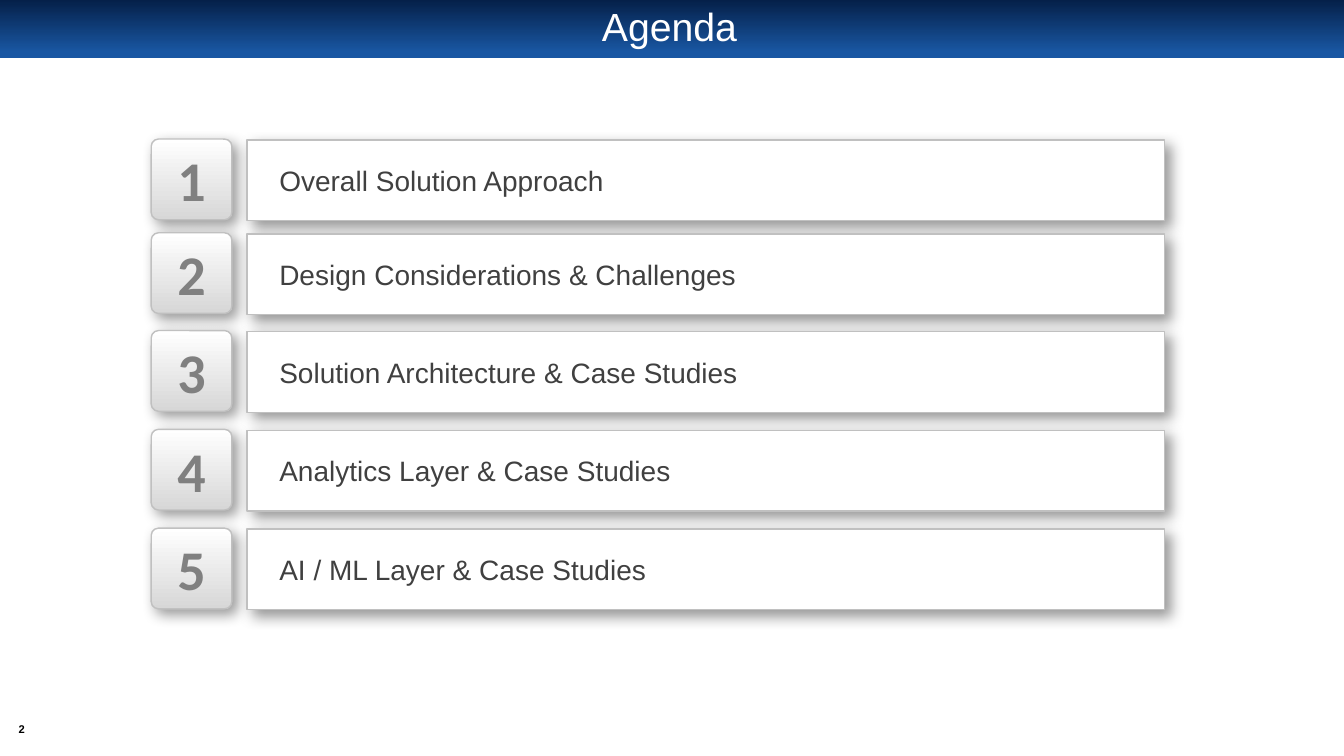
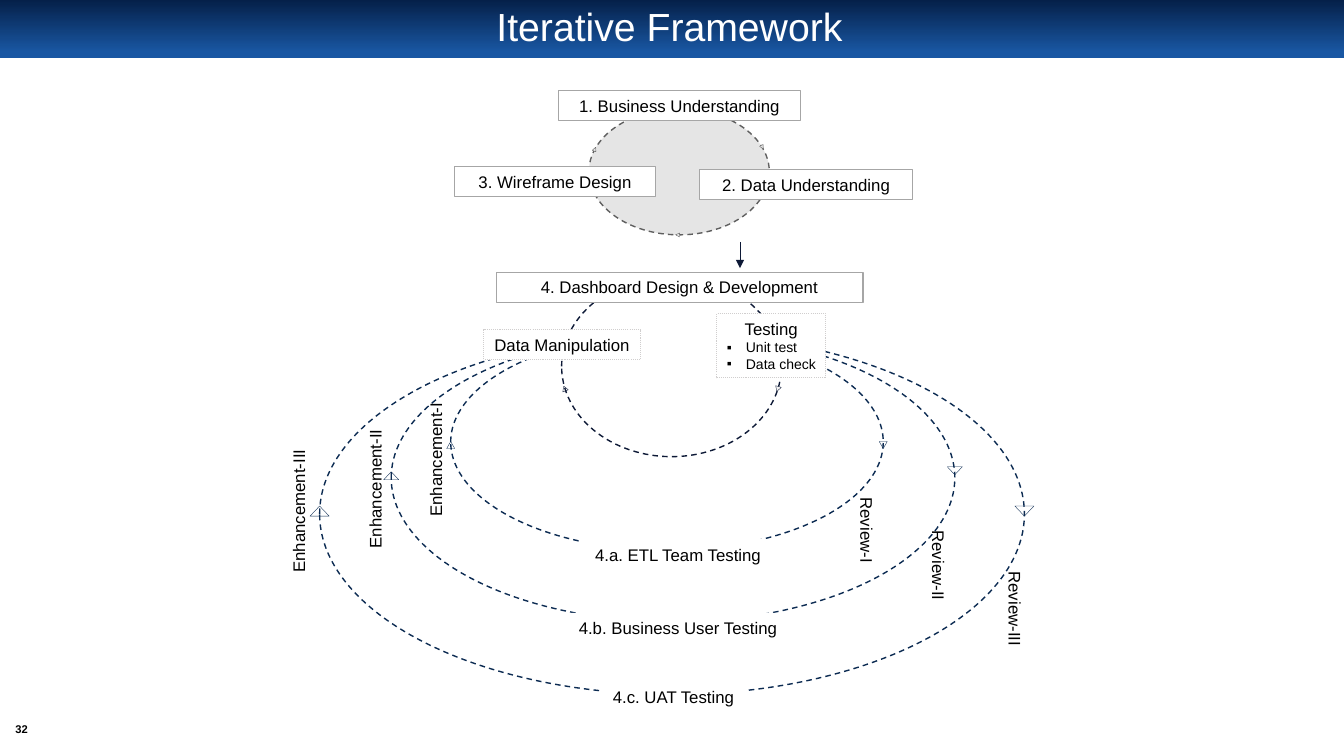
"""Build the agenda slide and the iterative framework slide."""
from dataclasses import dataclass

from lxml.etree import SubElement
from pptx import Presentation
from pptx.dml.color import RGBColor
from pptx.enum.dml import MSO_LINE
from pptx.enum.shapes import MSO_CONNECTOR, MSO_SHAPE
from pptx.enum.text import MSO_ANCHOR, MSO_AUTO_SIZE, PP_ALIGN
from pptx.oxml import parse_xml
from pptx.oxml.ns import nsdecls, qn
from pptx.util import Inches, Pt


@dataclass(frozen=True)
class Theme:
    """Colours, fonts and type sizes of the slides."""
    font: str = "Arial"
    number_font: str = "Calibri"
    white: str = "FFFFFF"
    black: str = "000000"
    band_top: str = "052049"
    band_bottom: str = "1957A3"
    button_bottom: str = "D7D7D7"
    button_line: str = "C0C0C0"
    button_text: str = "808080"
    agenda_text: str = "404040"
    ring: str = "0C2B52"
    inner_ring: str = "0D1936"
    disc: str = "E5E5E5"
    disc_line: str = "5F5F5F"
    step_line: str = "A6A6A6"
    task_line: str = "D0CECE"
    testing_marker: str = "F2F2F2"
    title_size: int = 28
    number_size: int = 40
    agenda_size: int = 20
    label_size: int = 12
    bullet_size: int = 10
    page_size: int = 8


theme = Theme()


def draw(slide, kind, left, top, width, height, fill=None, line=None, weight=1, dash=None, rotation=0):
    shape = slide.shapes.add_shape(kind, Inches(left), Inches(top), Inches(width), Inches(height))
    shape.shadow.inherit = False
    shape.rotation = rotation
    if isinstance(fill, tuple):
        shape.fill.gradient()
        shape.fill.gradient_angle = 270
        for stop, (color, position) in zip(shape.fill.gradient_stops, fill):
            stop.color.rgb = RGBColor.from_string(color)
            stop.position = position
    elif fill:
        shape.fill.solid()
        shape.fill.fore_color.rgb = RGBColor.from_string(fill)
    else:
        shape.fill.background()
    if line:
        shape.line.color.rgb = RGBColor.from_string(line)
        shape.line.width = Pt(weight)
        shape.line.dash_style = dash
    else:
        shape.line.fill.background()
    return shape


def write_text(shape, text, size=theme.label_size, color=theme.black, font=theme.font, bold=False,
               align=PP_ALIGN.CENTER, margin=0, spacing=None, bullet=False):
    frame = shape.text_frame
    frame.word_wrap = True
    frame.auto_size = MSO_AUTO_SIZE.NONE
    frame.vertical_anchor = MSO_ANCHOR.MIDDLE
    frame.margin_left = frame.margin_right = Inches(margin)
    frame.margin_top = frame.margin_bottom = 0
    paragraph = frame.add_paragraph() if frame.text else frame.paragraphs[0]
    paragraph.alignment = align
    paragraph.line_spacing = spacing
    if bullet:
        properties = paragraph._p.get_or_add_pPr()
        properties.set("marL", str(Inches(0.19)))
        properties.set("indent", str(-Inches(0.19)))
        SubElement(properties, qn("a:buFont"), typeface=theme.font)
        SubElement(properties, qn("a:buChar"), char="▪")
    run = paragraph.add_run()
    run.text = text
    run.font.size = Pt(size)
    run.font.name = font
    run.font.bold = bold
    run.font.color.rgb = RGBColor.from_string(color)


presentation = Presentation()
presentation.slide_width = Inches(13.33)
presentation.slide_height = Inches(7.5)
layout = presentation.slide_layouts.get_by_name("Title Only")

slides = []
for title_text, page in (("Agenda", "2"), ("Iterative Framework", "32")):
    slide = presentation.slides.add_slide(layout)
    title = slide.shapes.title
    title.left, title.top, title.width, title.height = Inches(0.66), Inches(0.06), Inches(11.96), Inches(0.45)
    write_text(title, title_text, size=theme.title_size, color=theme.white, spacing=0.9)
    page_box = slide.shapes.add_textbox(Inches(0.09), Inches(7.14), Inches(0.25), Inches(0.19))
    write_text(page_box, page, size=theme.page_size, bold=True)
    slides.append(slide)
agenda, framework = slides

band = draw(agenda, MSO_SHAPE.RECTANGLE, 0, 0, 13.33, 0.58,
            fill=((theme.band_top, 0), (theme.band_bottom, 0.9)))
layout.shapes.element.append(band.element)

agenda_rows = (
    (1.38, "Overall Solution Approach"),
    (2.31, "Design Considerations & Challenges"),
    (3.28, "Solution Architecture & Case Studies"),
    (4.26, "Analytics Layer & Case Studies"),
    (5.24, "AI / ML Layer & Case Studies"),
)
for number, (top, topic) in enumerate(agenda_rows, start=1):
    button = draw(agenda, MSO_SHAPE.ROUNDED_RECTANGLE, 1.5, top, 0.8, 0.8,
                  fill=((theme.white, 0), (theme.button_bottom, 1)), line=theme.button_line)
    button.adjustments[0] = 0.09
    write_text(button, str(number), size=theme.number_size, color=theme.button_text,
               font=theme.number_font, bold=True)
    panel = draw(agenda, MSO_SHAPE.RECTANGLE, 2.45, top + 0.01, 9.1, 0.8,
                 fill=theme.white, line=theme.button_line)
    write_text(panel, topic, size=theme.agenda_size, color=theme.agenda_text,
               align=PP_ALIGN.LEFT, margin=0.32)
    for shape in (button, panel):
        shape.element.spPr.find(qn("a:effectLst")).append(parse_xml(
            f'<a:outerShdw {nsdecls("a")} blurRad="{Pt(10)}" dist="{Pt(5)}" dir="2700000" algn="tl" '
            f'rotWithShape="0"><a:srgbClr val="{theme.black}"><a:alpha val="40000"/></a:srgbClr></a:outerShdw>'))

review_rings = (
    (4.47, 4.29, 2.15, 0.08, 0.07, 4.38, 4.38),
    (3.88, 5.59, 2.86, 0.15, 0.08, 4.68, 4.63),
    (3.17, 6.99, 3.58, 0.19, 0.1, 5.02, 5.02),
)
for left, width, height, marker_width, marker_height, up_top, down_top in review_rings:
    draw(framework, MSO_SHAPE.OVAL, left, 3.31, width, height, line=theme.ring, dash=MSO_LINE.DASH)
    for edge, marker_top, rotation in ((left, up_top, 180), (left + width, down_top, 0)):
        draw(framework, MSO_SHAPE.FLOWCHART_MERGE, edge - marker_width / 2, marker_top,
             marker_width, marker_height, line=theme.ring, weight=0.25, rotation=rotation)

draw(framework, MSO_SHAPE.RECTANGLE, 6.24, 3.11, 1.02, 0.25, fill=theme.white)
draw(framework, MSO_SHAPE.OVAL, 5.84, 1.08, 1.79, 1.25, fill=theme.disc, line=theme.disc_line, dash=MSO_LINE.DASH)
for left, top, rotation in ((5.88, 1.46, 203.2), (7.54, 1.44, 333.4), (6.7, 2.31, 93.9)):
    draw(framework, MSO_SHAPE.FLOWCHART_MERGE, left, top, 0.04, 0.04, fill=theme.disc,
         line=theme.disc_line, weight=0.25, rotation=rotation)
draw(framework, MSO_SHAPE.OVAL, 5.57, 2.74, 2.18, 1.79, line=theme.inner_ring, dash=MSO_LINE.DASH)
for left, top, rotation, fill in ((5.57, 3.83, 159.4, None), (7.68, 3.82, 137, theme.testing_marker)):
    draw(framework, MSO_SHAPE.FLOWCHART_MERGE, left, top, 0.06, 0.05, fill=fill,
         line=theme.inner_ring, weight=0.25, rotation=rotation)

framework_boxes = (
    ("1. Business Understanding", 5.54, 0.9, 2.4, theme.step_line, None),
    ("2. Data Understanding", 6.94, 1.68, 2.11, theme.step_line, None),
    ("3. Wireframe Design", 4.51, 1.65, 1.99, theme.step_line, None),
    ("4. Dashboard Design & Development", 4.92, 2.7, 3.64, theme.step_line, None),
    ("4.a. ETL Team Testing", 5.77, 5.35, 1.91, None, None),
    ("4.b. Business User Testing", 5.62, 6.08, 2.21, None, None),
    ("4.c. UAT Testing", 5.95, 6.76, 1.46, None, None),
    ("Data Manipulation", 4.8, 3.27, 1.55, theme.task_line, MSO_LINE.ROUND_DOT),
)
for label, left, top, width, line, dash in framework_boxes:
    box = draw(framework, MSO_SHAPE.RECTANGLE, left, top, width, 0.3, fill=theme.white,
               line=line, weight=0.75, dash=dash)
    write_text(box, label)

testing = draw(framework, MSO_SHAPE.RECTANGLE, 7.11, 3.11, 1.08, 0.64, fill=theme.white,
               line=theme.task_line, weight=0.75, dash=MSO_LINE.ROUND_DOT)
write_text(testing, "Testing", margin=0.1)
for check in ("Unit test", "Data check"):
    write_text(testing, check, size=theme.bullet_size, align=PP_ALIGN.LEFT, margin=0.1, bullet=True)

side_labels = (
    ("Review-I", 8.6, 5.26, 90),
    ("Review-II", 9.31, 5.61, 90),
    ("Review-III", 10.07, 6.04, 90),
    ("Enhancement-III", 2.96, 5.07, 270),
    ("Enhancement-II", 3.72, 4.85, 270),
    ("Enhancement-I", 4.32, 4.56, 270),
)
for label, center_x, center_y, rotation in side_labels:
    side_label = framework.shapes.add_textbox(Inches(center_x - 0.7), Inches(center_y - 0.15),
                                              Inches(1.4), Inches(0.3))
    side_label.rotation = rotation
    write_text(side_label, label)

arrow = framework.shapes.add_connector(MSO_CONNECTOR.STRAIGHT, Inches(7.34), Inches(2.4), Inches(7.34), Inches(2.66))
arrow.line.color.rgb = RGBColor.from_string(theme.inner_ring)
arrow.line.width = Pt(0.5)
arrow_properties = arrow.element.spPr
SubElement(arrow_properties.find(qn("a:ln")), qn("a:tailEnd"), type="triangle")
SubElement(arrow_properties, qn("a:effectLst"))

presentation.save("out.pptx")
